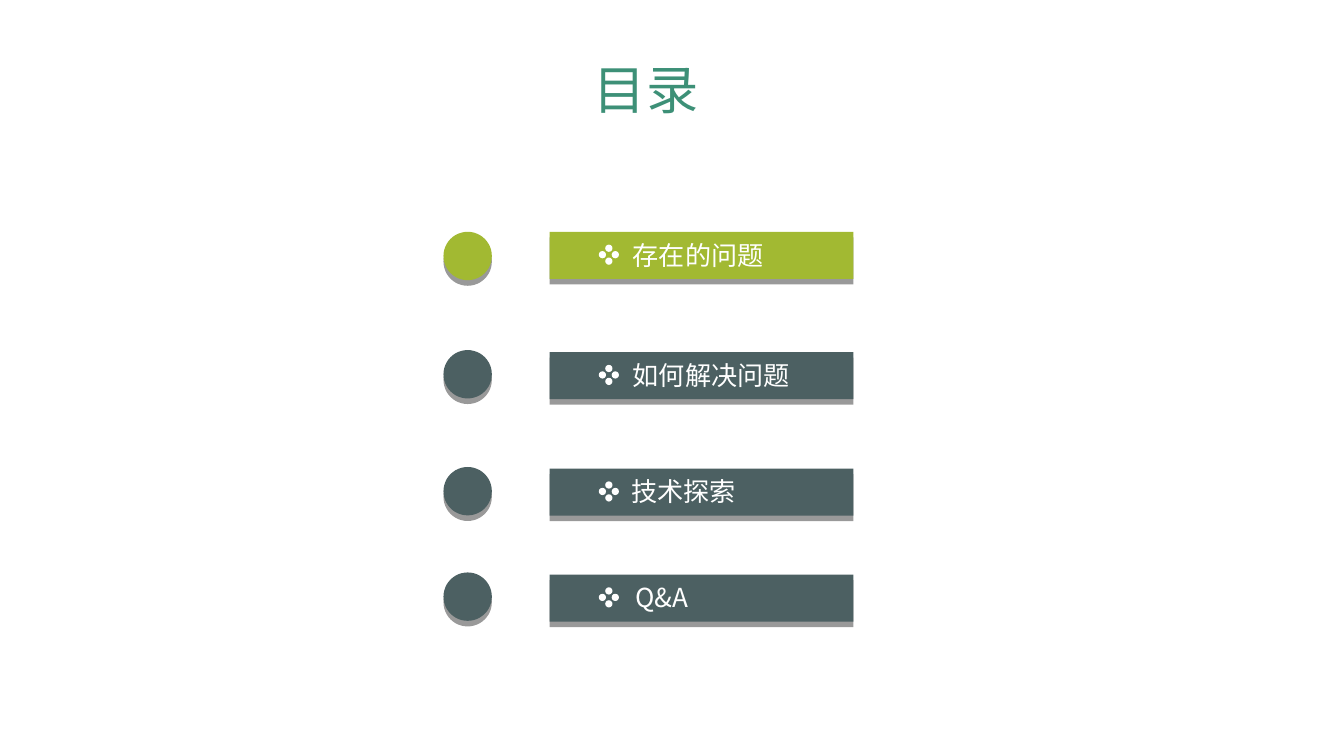
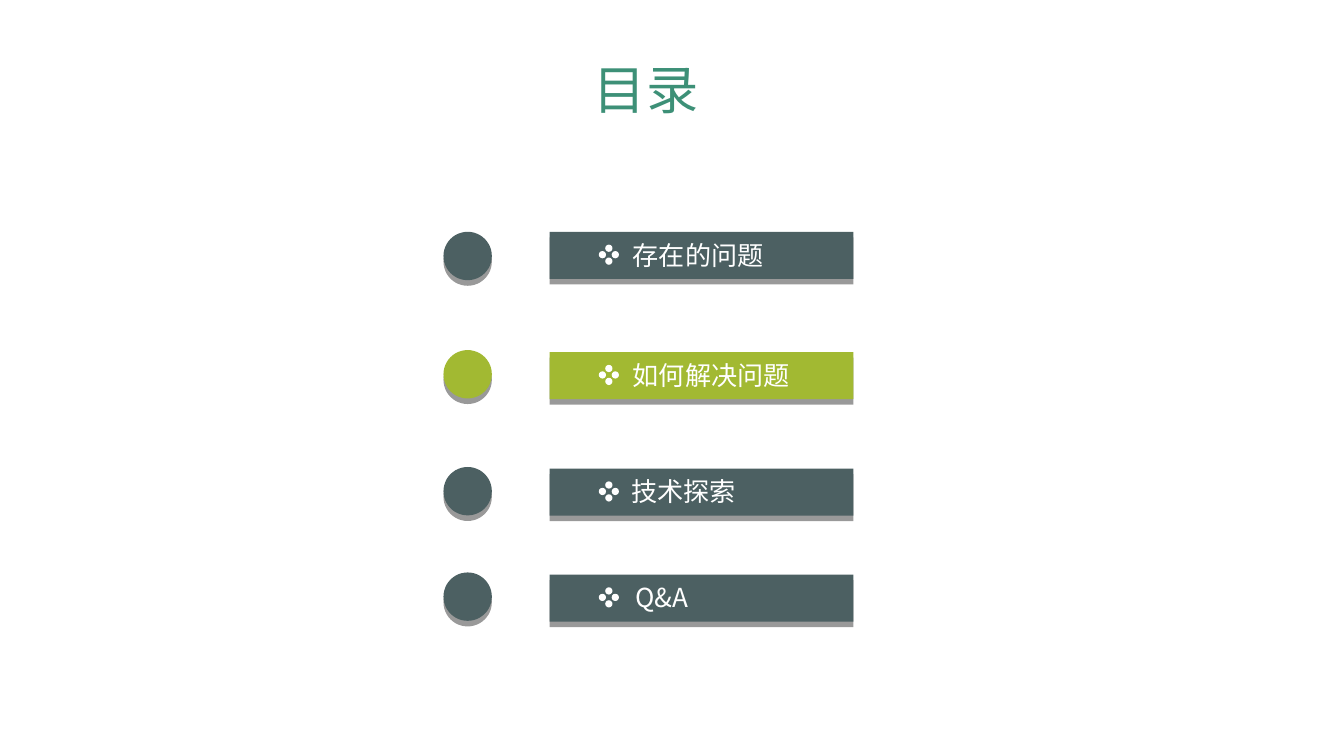
from collections import namedtuple

from lxml import etree
from pptx import Presentation
from pptx import util as u
from pptx.dml import color
from pptx.enum import shapes, text
from pptx.oxml import ns

CELL = u.Inches(0.1)
COLUMNS, ROWS = 100, 56.25
FONT = "Noto Sans CJK SC"
ACTIVE, IDLE, TITLE, WHITE = "A2B932", "4C6062", "3D9077", "FFFFFF"

Box = namedtuple("Box", "left top width height")
Topic = namedtuple("Topic", "label bar_top disc_top label_left label_width")

TOPICS = [
    Topic("存在的问题", 17.25, 17.25, 5.2, 11.9),
    Topic("如何解决问题", 26.2, 26.05, 5.2, 13.9),
    Topic("技术探索", 34.87, 34.75, 5.1, 9.9),
    Topic("Q&A", 42.75, 42.6, 5.4, 6.3),
]
TITLE_BOX = Box(43.2, 3.8, 9.9, 5.7)
BAR_LEFT, BAR_WIDTH, BAR_HEIGHT = 40.9, 22.6, 3.5
DISC_LEFT, DISC_SIZE = 33, 3.6
LABEL_HEIGHT = 3.4
DOTS_LEFT = 4.4
DOT_SIZE, DOT_REACH = 0.54, 0.48
DOT_DIRECTIONS = [(0, -1), (1, 0), (-1, 0), (0, 1)]


def rgb(value):
    return color.RGBColor.from_string(value)


def emu(box):
    return [round(length * CELL) for length in box]


def apply(target, values):
    for name, value in values.items():
        setattr(target, name, value)


def add_drop(shape):
    effects = shape._element.spPr.find(ns.qn("a:effectLst"))
    drop = etree.SubElement(effects, ns.qn("a:outerShdw"), blurRad="0",
                            dist=str(u.Pt(3)), dir="5400000",
                            algn="t", rotWithShape="0")
    black = etree.SubElement(drop, ns.qn("a:srgbClr"), val="000000")
    etree.SubElement(black, ns.qn("a:alpha"), val="40000")


def add_solid(parent, kind, box, fill, drop=False):
    shape = parent.add_shape(kind, *emu(box))
    shape.shadow.inherit = False
    shape.fill.solid()
    shape.fill.fore_color.rgb = rgb(fill)
    shape.line.fill.background()
    if drop:
        add_drop(shape)


def add_label(slide, box, words, size, ink, anchor):
    frame = slide.shapes.add_textbox(*emu(box)).text_frame
    apply(frame, {
        "word_wrap": False,
        "auto_size": text.MSO_AUTO_SIZE.SHAPE_TO_FIT_TEXT,
        "vertical_anchor": anchor,
    })
    run = frame.paragraphs[0].add_run()
    run.text = words
    apply(run.font, {"size": u.Pt(size), "name": FONT})
    run.font.color.rgb = rgb(ink)
    etree.SubElement(run._r.get_or_add_rPr(), ns.qn("a:ea"), typeface=FONT)


def add_dots(slide, center_x, center_y):
    group = slide.shapes.add_group_shape()
    for across, down in DOT_DIRECTIONS:
        dot = Box(center_x + across * DOT_REACH - DOT_SIZE / 2,
                  center_y + down * DOT_REACH - DOT_SIZE / 2,
                  DOT_SIZE, DOT_SIZE)
        add_solid(group.shapes, shapes.MSO_SHAPE.OVAL, dot, WHITE)


def add_topic_bar(slide, box, topic, fill):
    add_solid(slide.shapes, shapes.MSO_SHAPE.RECTANGLE, box, fill, drop=True)
    add_dots(slide, box.left + DOTS_LEFT, box.top + LABEL_HEIGHT / 2)
    label_box = Box(box.left + topic.label_left, box.top,
                    topic.label_width, LABEL_HEIGHT)
    add_label(slide, label_box, topic.label, 14, WHITE,
              text.MSO_ANCHOR.MIDDLE)


def add_agenda_slide(presentation, active):
    slide = presentation.slides.add_slide(presentation.slide_layouts[6])
    fills = [ACTIVE if index == active else IDLE
             for index in range(len(TOPICS))]
    for topic, fill in zip(TOPICS, fills):
        bar = Box(BAR_LEFT, topic.bar_top, BAR_WIDTH, BAR_HEIGHT)
        add_topic_bar(slide, bar, topic, fill)
    add_label(slide, TITLE_BOX, "目录", 28, TITLE, text.MSO_ANCHOR.TOP)
    for topic, fill in zip(TOPICS, fills):
        disc = Box(DISC_LEFT, topic.disc_top, DISC_SIZE, DISC_SIZE)
        add_solid(slide.shapes, shapes.MSO_SHAPE.OVAL, disc, fill, drop=True)


def main():
    presentation = Presentation()
    apply(presentation, {"slide_width": round(COLUMNS * CELL),
                         "slide_height": round(ROWS * CELL)})
    for active in range(2):
        add_agenda_slide(presentation, active)
    presentation.save("out.pptx")


if __name__ == "__main__":
    main()
